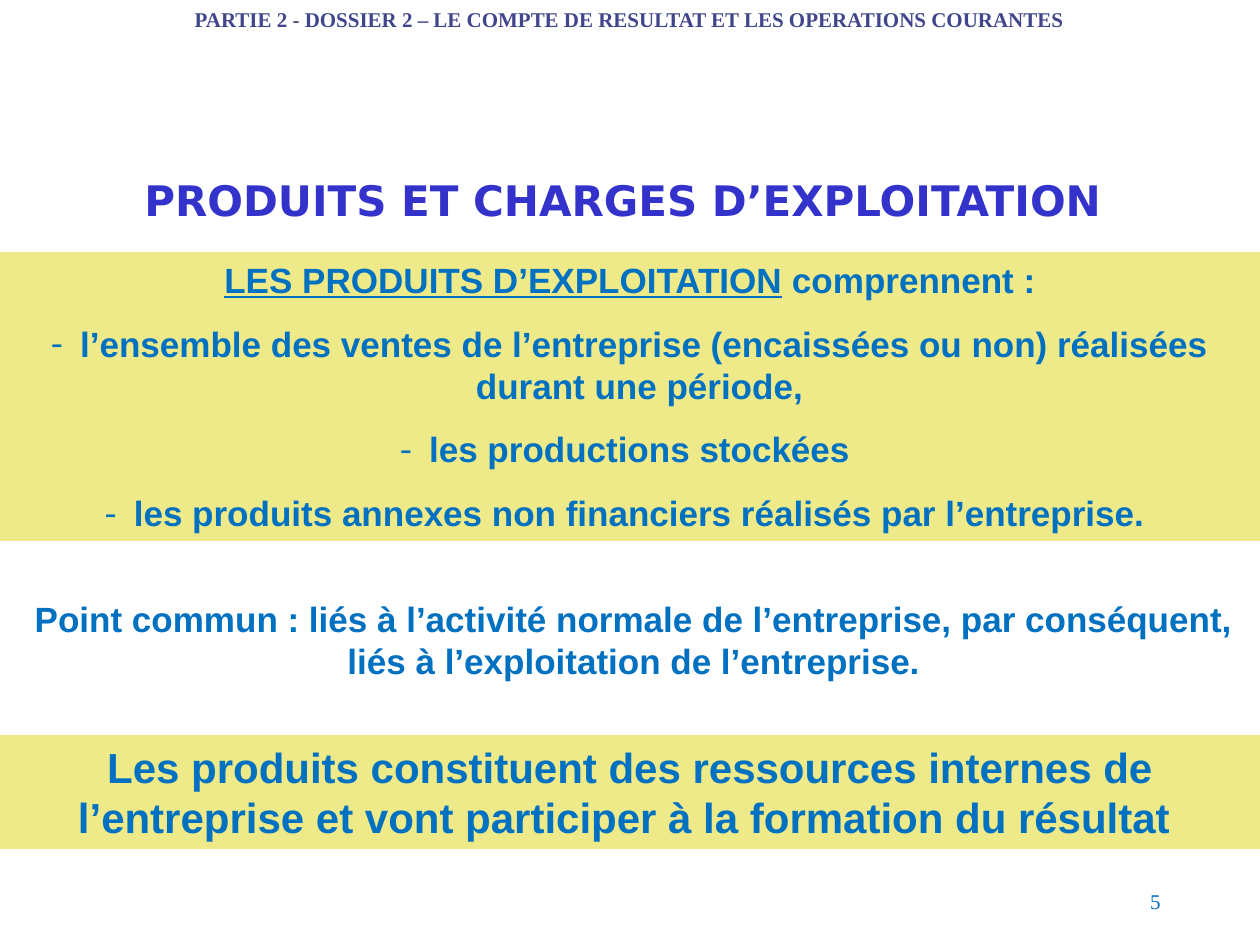
from dataclasses import dataclass
from typing import Optional

import pptx
import pptx.dml.color
import pptx.enum.shapes
import pptx.enum.text
import pptx.oxml
import pptx.oxml.ns
import pptx.util

PX_PER_INCH = 126
BLUE, INDIGO, NAVY, YELLOW = "0070C0", "3333CC", "40458C", "EFEA89"
BULLET_INDENT = 29
ALIGN = pptx.enum.text.PP_ALIGN
ANCHOR = pptx.enum.text.MSO_ANCHOR
AUTO_SIZE = pptx.enum.text.MSO_AUTO_SIZE


@dataclass(frozen=True)
class Line:
    text: str
    underlined: str = ""
    bullet: bool = False


@dataclass(frozen=True)
class Block:
    left: int
    top: int
    width: int
    height: int
    lines: tuple[Line, ...]
    size: int
    font: str = "Arial"
    color: str = BLUE
    bold: bool = True
    fill: Optional[str] = None
    align: ALIGN = ALIGN.CENTER
    anchor: ANCHOR = ANCHOR.TOP
    auto_size: AUTO_SIZE = AUTO_SIZE.SHAPE_TO_FIT_TEXT


def px(length: int) -> pptx.util.Emu:
    return pptx.util.Emu(round(length * 914400 / PX_PER_INCH))


def rgb(color: str) -> pptx.dml.color.RGBColor:
    return pptx.dml.color.RGBColor.from_string(color)


def set_all(target, values: dict) -> None:
    for name, value in values.items():
        setattr(target, name, value)


def add_dash(paragraph, color: str) -> None:
    properties = paragraph._p.get_or_add_pPr()
    properties.set("marL", str(px(BULLET_INDENT)))
    properties.set("indent", str(-px(BULLET_INDENT)))
    namespace = pptx.oxml.ns.nsdecls("a")
    for xml in (
        f'<a:buClr {namespace}><a:srgbClr val="{color}"/></a:buClr>',
        f'<a:buFont {namespace} typeface="Times New Roman"/>',
        f'<a:buChar {namespace} char="-"/>',
    ):
        properties.append(pptx.oxml.parse_xml(xml))


def add_block(slide, block: Block) -> None:
    place = [px(n) for n in (block.left, block.top, block.width, block.height)]
    if block.fill:
        shape = slide.shapes.add_shape(
            pptx.enum.shapes.MSO_SHAPE.RECTANGLE, *place)
        shape.shadow.inherit = False
        shape.fill.solid()
        shape.fill.fore_color.rgb = rgb(block.fill)
        shape.line.fill.background()
    else:
        shape = slide.shapes.add_textbox(*place)

    frame = shape.text_frame
    set_all(frame, {"word_wrap": True, "auto_size": block.auto_size,
                    "vertical_anchor": block.anchor})
    for index, line in enumerate(block.lines):
        paragraph = frame.paragraphs[0] if index == 0 else frame.add_paragraph()
        if line.bullet:
            add_dash(paragraph, block.color)
        paragraph.alignment = block.align
        if index:
            paragraph.space_before = pptx.util.Pt(12.5)
        for text, underline in ((line.underlined, True), (line.text, False)):
            if text:
                run = paragraph.add_run()
                run.text = text
                set_all(run.font, {"name": block.font, "bold": block.bold,
                                   "size": pptx.util.Pt(block.size),
                                   "underline": underline})
                run.font.color.rgb = rgb(block.color)


BLOCKS = (
    # Section title
    Block(0, 168, 1260, 63, (Line("PRODUITS ET CHARGES D’EXPLOITATION "),),
          24, font="DejaVu Sans", color=INDIGO),
    # Definition of operating income
    Block(0, 252, 1260, 289, (
        Line(" comprennent :", underlined="LES PRODUITS D’EXPLOITATION"),
        Line("l’ensemble des ventes de l’entreprise (encaissées ou non) "
             "réalisées durant une période, ", bullet=True),
        Line("les productions stockées ", bullet=True),
        Line("les produits annexes non financiers réalisés par l’entreprise. ",
             bullet=True),
    ), 20, fill=YELLOW),
    # Common point
    Block(4, 591, 1260, 97, (
        Line("Point commun : liés à l’activité normale de l’entreprise, par "
             "conséquent, liés à l’exploitation de l’entreprise."),), 20),
    # Conclusion
    Block(0, 735, 1260, 114, (
        Line("Les produits constituent des ressources internes de l’entreprise "
             "et vont participer à la formation du résultat "),),
          24, fill=YELLOW),
    # Running header
    Block(36, 0, 1187, 38, (
        Line("PARTIE 2 - DOSSIER 2 – LE COMPTE DE RESULTAT ET LES OPERATIONS "
             "COURANTES"),), 12, font="Times New Roman", color=NAVY),
    # Page number
    Block(890, 876, 283, 50, (Line("5"),), 12, font="Times New Roman",
          bold=False, align=ALIGN.RIGHT, anchor=ANCHOR.MIDDLE,
          auto_size=AUTO_SIZE.NONE),
)


def main() -> None:
    presentation = pptx.Presentation()
    set_all(presentation, {"slide_width": px(1260), "slide_height": px(945)})
    slide = presentation.slides.add_slide(presentation.slide_layouts[6])
    for block in BLOCKS:
        add_block(slide, block)
    presentation.save("out.pptx")


if __name__ == "__main__":
    main()
